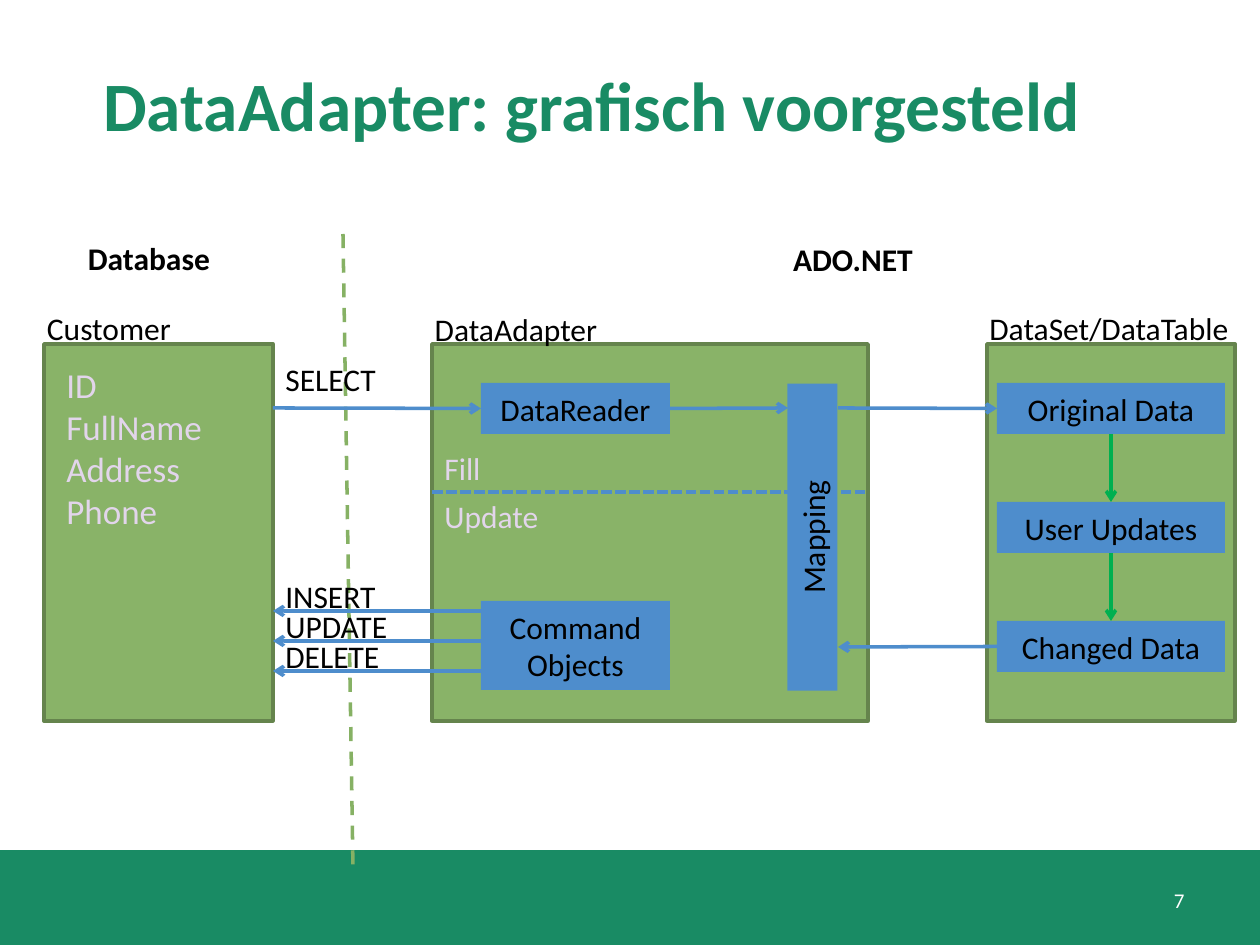
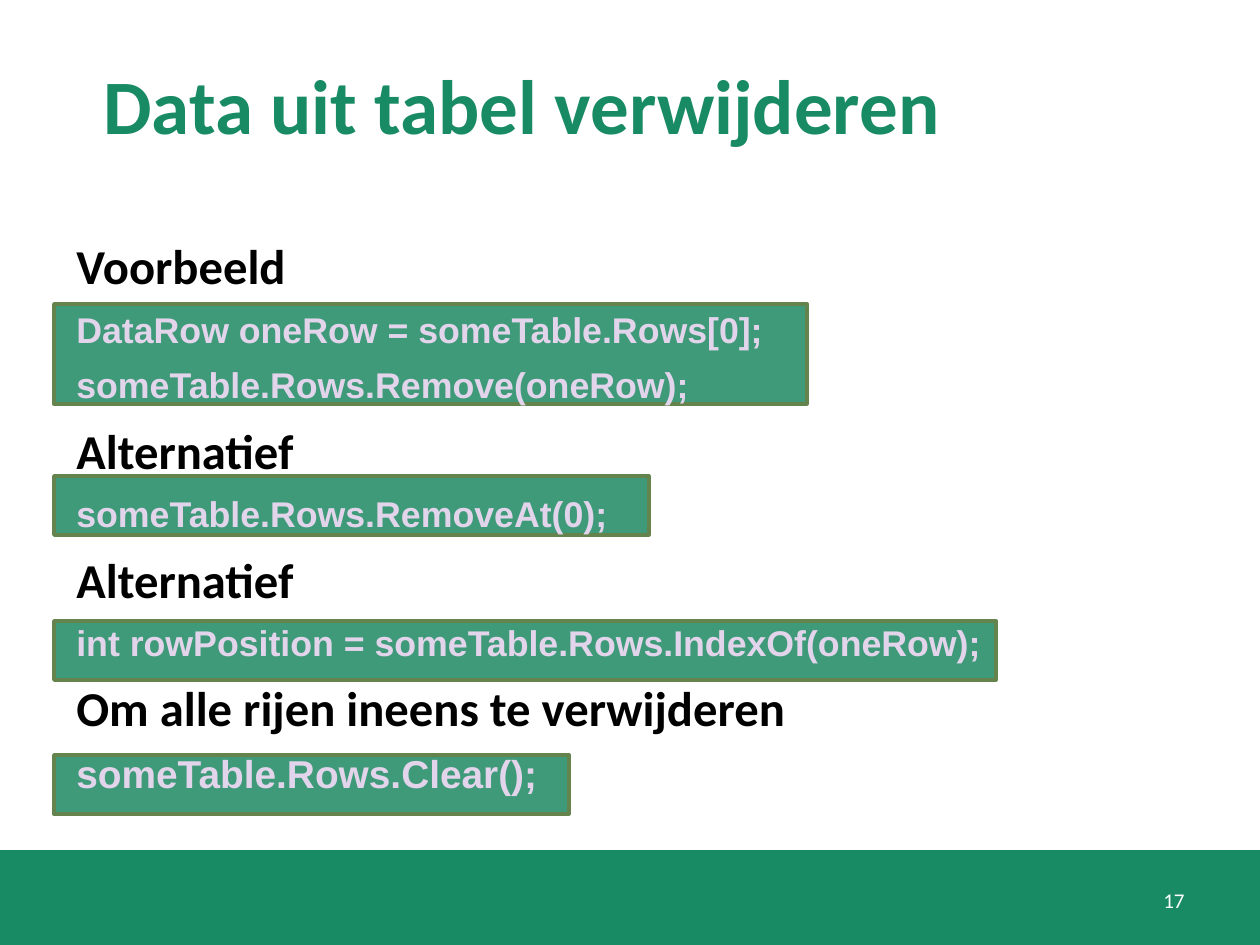
from lxml import etree
from pptx import Presentation
from pptx.dml.color import RGBColor
from pptx.enum.dml import MSO_LINE
from pptx.enum.shapes import MSO_CONNECTOR, MSO_SHAPE
from pptx.enum.text import MSO_ANCHOR, PP_ALIGN
from pptx.oxml.ns import qn
from pptx.util import Pt

PX = 914400 / 126
SLIDE_WIDTH, SLIDE_HEIGHT = 1260, 945

GREEN = RGBColor(0x19, 0x8B, 0x64)
CODE_GREEN = RGBColor(0x3F, 0x9A, 0x79)
PANEL_GREEN = RGBColor(0x89, 0xB3, 0x68)
BORDER_GREEN = RGBColor(0x65, 0x84, 0x4D)
DIVIDER_GREEN = RGBColor(0x86, 0xB1, 0x64)
ARROW_GREEN = RGBColor(0x00, 0xB0, 0x50)
BLUE = RGBColor(0x4E, 0x8D, 0xCC)
LILAC = RGBColor(0xE2, 0xD5, 0xEB)
BLACK = RGBColor(0, 0, 0)
WHITE = RGBColor(0xFF, 0xFF, 0xFF)

LEFT, CENTER, RIGHT = PP_ALIGN.LEFT, PP_ALIGN.CENTER, PP_ALIGN.RIGHT
TOP, MIDDLE = MSO_ANCHOR.TOP, MSO_ANCHOR.MIDDLE
RECTANGLE = MSO_SHAPE.RECTANGLE
STRAIGHT = MSO_CONNECTOR.STRAIGHT
DASH, SHORT_DASH = MSO_LINE.DASH, MSO_LINE.SQUARE_DOT
SIDE_TOP, SIDE_LEFT, SIDE_BOTTOM, SIDE_RIGHT = range(4)

# Diagram: boxes are (left, top, width, height)
PANEL_TOP, PANEL_HEIGHT = 344, 377
PANELS = [(44, 229), (432, 436), (987, 248)]  # left, width
DATA_LEFT, DATA_TOP, DATA_STEP = 997, 383, 119
BOXES = {
    "DataReader": (481, 383, 189, 51),
    "Command Objects": (481, 601, 189, 89),
}
for row, name in enumerate(["Original Data", "User Updates", "Changed Data"]):
    BOXES[name] = (DATA_LEFT, DATA_TOP + row * DATA_STEP, 228, 51)
MAPPING_BOX = (659, 512, 307, 50)

# Lines: start, end, colour, dash; an end is a point or (box name, side)
DIVIDERS = [
    ((343, 234), (353, 869), DIVIDER_GREEN, DASH),
    ((432, 492), (868, 492), BLUE, SHORT_DASH),
]
DATABASE_EDGE, COMMAND_EDGE = 273, 481
FLOW_Y, RETURN_Y = 408, 647
ARROWS = [
    ((838, FLOW_Y), ("Original Data", SIDE_LEFT), BLUE),
    (("Original Data", SIDE_BOTTOM), ("User Updates", SIDE_TOP), ARROW_GREEN),
    (("User Updates", SIDE_BOTTOM), ("Changed Data", SIDE_TOP), ARROW_GREEN),
    (("Changed Data", SIDE_LEFT), (838, RETURN_Y), BLUE),
    (("DataReader", SIDE_RIGHT), (788, FLOW_Y), BLUE),
    ((DATABASE_EDGE, FLOW_Y), ("DataReader", SIDE_LEFT), BLUE),
]
COMMANDS = ["INSERT", "UPDATE", "DELETE"]
COMMAND_TOP, COMMAND_STEP, COMMAND_ARROW_DROP = 571, 30, 40

# Labels: text, left, top, width, alignment, colour, bold
LABELS = [
    ("Database", 35, 233, 228, CENTER, BLACK, True),
    ("ADO.NET", 739, 234, 228, CENTER, BLACK, True),
    ("Customer", -5, 303, 228, CENTER, BLACK, False),
    ("DataAdapter", 402, 304, 228, CENTER, BLACK, False),
    ("DataSet/DataTable", 977, 303, 273, LEFT, BLACK, False),
    ("Fill", 432, 443, 189, LEFT, LILAC, False),
    ("Update", 432, 491, 189, LEFT, LILAC, False),
    ("SELECT", DATABASE_EDGE, 354, 189, LEFT, BLACK, False),
]
LABEL_HEIGHT = 50
CUSTOMER_FIELDS = ["ID", "FullName", "Address", "Phone"]

# Code examples: panels are top, width, height; lines are text, size, is code
CODE_LEFT = 54
CODE_PANELS = [(755, 515, 59), (621, 942, 59), (476, 595, 59), (304, 753, 100)]
HEADING_SIZE, CODE_SIZE = 27.8, 20.4
EXAMPLE_LINES = [
    ("Voorbeeld", HEADING_SIZE, False),
    ("DataRow oneRow = someTable.Rows[0];", CODE_SIZE, True),
    ("someTable.Rows.Remove(oneRow);", CODE_SIZE, True),
    ("Alternatief", HEADING_SIZE, False),
    ("someTable.Rows.RemoveAt(0);", CODE_SIZE, True),
    ("Alternatief", HEADING_SIZE, False),
    ("int rowPosition = someTable.Rows.IndexOf(oneRow);", CODE_SIZE, True),
    ("Om alle rijen ineens te verwijderen", HEADING_SIZE, False),
    ("someTable.Rows.Clear();", 22.2, True),
]


def px(*lengths):
    return [round(length * PX) for length in lengths]


def style(paragraph, size, color, bold=False, align=LEFT, font="Calibri"):
    paragraph.alignment = align
    paragraph.font.name = font
    paragraph.font.size = Pt(size)
    paragraph.font.bold = bold
    paragraph.font.color.rgb = color


def write(shape, lines, size, color, bold=False, align=LEFT, anchor=TOP):
    frame = shape.text_frame
    frame.word_wrap = True
    frame.vertical_anchor = anchor
    frame.text = "\n".join(lines)
    for paragraph in frame.paragraphs:
        style(paragraph, size, color, bold, align)


def add_text(slide, box, lines, *args, **options):
    write(slide.shapes.add_textbox(*px(*box)), lines, *args, **options)


def add_box(slide, box, fill, border=None):
    shape = slide.shapes.add_shape(RECTANGLE, *px(*box))
    shape.shadow.inherit = False
    shape.fill.solid()
    shape.fill.fore_color.rgb = fill
    if border is None:
        shape.line.fill.background()
    else:
        shape.line.color.rgb = border
        shape.line.width = Pt(2)
    return shape


def add_named_box(slide, name, box):
    shape = add_box(slide, box, BLUE)
    write(shape, [name], 18, BLACK, align=CENTER, anchor=MIDDLE)
    return shape


def add_line(slide, boxes, start, end, color, dash=None, arrow=False):
    """Draw a line between points, or glue its ends to named boxes."""
    points = [(0, 0) if point[0] in boxes else point for point in (start, end)]
    connector = slide.shapes.add_connector(STRAIGHT, *px(*points[0], *points[1]))
    if start[0] in boxes:
        connector.begin_connect(boxes[start[0]], start[1])
    if end[0] in boxes:
        connector.end_connect(boxes[end[0]], end[1])
    connector.line.color.rgb = color
    connector.line.width = Pt(2)
    if dash is not None:
        connector.line.dash_style = dash
    properties = connector._element.spPr
    if arrow:
        etree.SubElement(properties.find(qn("a:ln")), qn("a:tailEnd"), type="arrow")
    etree.SubElement(properties, qn("a:effectLst"))


def add_slide(presentation, title, title_size, number):
    slide = presentation.slides.add_slide(presentation.slide_layouts[6])
    add_box(slide, (0, 850, SLIDE_WIDTH, 95), GREEN)
    add_text(slide, (91, 25, 1106, 158), [title], title_size, GREEN,
             bold=True, anchor=MIDDLE)
    add_text(slide, (1124, 875, 73, 50), [str(number)], 12, WHITE,
             align=RIGHT, anchor=MIDDLE)
    return slide


def build_diagram(presentation):
    slide = add_slide(presentation, "DataAdapter: grafisch voorgesteld", 39.6, 7)
    for left, width in PANELS:
        add_box(slide, (left, PANEL_TOP, width, PANEL_HEIGHT), PANEL_GREEN, BORDER_GREEN)
    boxes = {name: add_named_box(slide, name, box) for name, box in BOXES.items()}
    for start, end, color, dash in DIVIDERS:
        add_line(slide, boxes, start, end, color, dash=dash)

    labels, arrows = list(LABELS), list(ARROWS)
    for index, command in enumerate(COMMANDS):
        top = COMMAND_TOP + index * COMMAND_STEP
        y = top + COMMAND_ARROW_DROP
        arrows.append(((COMMAND_EDGE, y), (DATABASE_EDGE, y), BLUE))
        labels.append((command, DATABASE_EDGE, top, 189, LEFT, BLACK, False))
    for start, end, color in arrows:
        add_line(slide, boxes, start, end, color, arrow=True)
    for text, left, top, width, align, color, bold in labels:
        add_text(slide, (left, top, width, LABEL_HEIGHT), [text], 18, color,
                 bold=bold, align=align)
    add_text(slide, (54, 357, 189, 183), CUSTOMER_FIELDS, 20, LILAC)
    add_named_box(slide, "Mapping", MAPPING_BOX).rotation = 270


def build_examples(presentation):
    slide = add_slide(presentation, "Data uit tabel verwijderen", 44, 17)
    for top, width, height in CODE_PANELS:
        add_box(slide, (CODE_LEFT, top, width, height), CODE_GREEN, BORDER_GREEN)
    frame = slide.shapes.add_textbox(*px(64, 224, 1134, 624)).text_frame
    frame.word_wrap = True
    frame.text = "\n".join(text for text, _, _ in EXAMPLE_LINES)
    for paragraph, (_, size, is_code) in zip(frame.paragraphs, EXAMPLE_LINES):
        color, font = (LILAC, "Arial") if is_code else (BLACK, "Calibri")
        style(paragraph, size, color, bold=True, font=font)
        paragraph.line_spacing = 1.1
        paragraph.space_before = Pt(5)


def main():
    presentation = Presentation()
    presentation.slide_width, presentation.slide_height = px(SLIDE_WIDTH, SLIDE_HEIGHT)
    build_diagram(presentation)
    build_examples(presentation)
    presentation.save("out.pptx")


if __name__ == "__main__":
    main()
